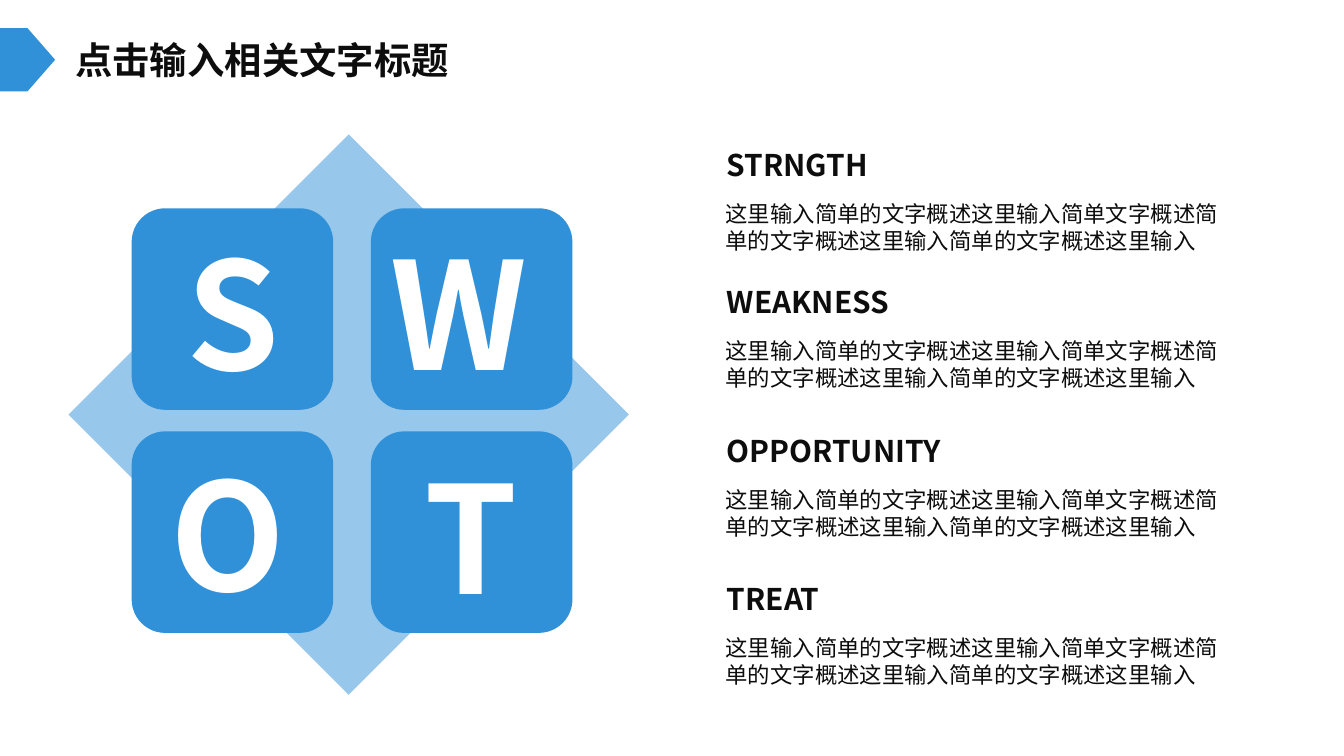
from pptx import Presentation
from pptx.dml.color import RGBColor
from pptx.enum import shapes, text
from pptx.oxml import xmlchemy
from pptx.oxml.ns import qn
from pptx.util import Inches, Pt

THEME = {
    "font": "Noto Sans CJK SC",
    "blue": "3090D8", "ink": "0D0D0D", "white": "FFFFFF",
    "title": 20, "letter": 80, "heading": 16, "body": 12,
}

TITLE = "点击输入相关文字标题"
SUMMARY = "这里输入简单的文字概述这里输入简单文字概述简单的文字概述这里输入简单的文字概述这里输入"
# heading and its top edge
SECTIONS = [("STRNGTH", 1.04), ("WEAKNESS", 2.06), ("OPPORTUNITY", 3.17), ("TREAT", 4.27)]
# letter, width of its box, drop below the top of its tile
LETTERS = [("S", 0.88, 0.05), ("W", 1.41, 0.05), ("O", 1.12, 0.03), ("T", 0.9, 0.05)]

TILE = 1.5
TILE_LEFTS = (0.98, 2.76)
TILE_TOPS = (1.55, 3.21)


def add_filled(page, kind, left, top, width, height, opacity=None):
    shape = page.shapes.add_shape(
        kind, Inches(left), Inches(top), Inches(width), Inches(height))
    shape.shadow.inherit = False
    shape.line.fill.background()
    shape.fill.solid()
    shape.fill.fore_color.rgb = RGBColor.from_string(THEME["blue"])
    if opacity is not None:
        color = shape._element.spPr.find(".//" + qn("a:srgbClr"))
        alpha = xmlchemy.OxmlElement("a:alpha")
        alpha.set("val", str(opacity * 1000))
        color.append(alpha)


def write(box, words, size, color="ink", bold=True, wrap=True):
    frame = box.text_frame
    frame.word_wrap = wrap
    frame.auto_size = text.MSO_AUTO_SIZE.SHAPE_TO_FIT_TEXT
    frame.vertical_anchor = text.MSO_ANCHOR.TOP
    para = frame.paragraphs[0]
    para.alignment = text.PP_ALIGN.LEFT
    span = para.add_run()
    span.text = words
    span.font.size = Pt(THEME[size])
    span.font.bold = bold
    span.font.name = THEME["font"]
    span.font.color.rgb = RGBColor.from_string(THEME[color])
    east_asian = xmlchemy.OxmlElement("a:ea")
    east_asian.set("typeface", THEME["font"])
    span.font._element.find(qn("a:latin")).addnext(east_asian)


def add_text(page, left, top, width, height, *args, **options):
    box = page.shapes.add_textbox(
        Inches(left), Inches(top), Inches(width), Inches(height))
    write(box, *args, **options)


def add_title(page):
    title = page.shapes.title
    title.left, title.top = Inches(0.46), Inches(0.23)
    title.width, title.height = Inches(3.01), Inches(0.44)
    write(title, TITLE, "title", wrap=False)


def add_matrix(page):
    kinds = shapes.MSO_SHAPE
    add_filled(page, kinds.DIAMOND, 0.51, 1, 4.17, 4.17, opacity=50)
    corners = [(left, top) for top in TILE_TOPS for left in TILE_LEFTS]
    for left, top in corners:
        add_filled(page, kinds.ROUNDED_RECTANGLE, left, top, TILE, TILE)
    for (left, top), (letter, width, drop) in zip(corners, LETTERS):
        add_text(page, left + (TILE - width) / 2, top + drop, width, 1.45,
                 letter, "letter", color="white", wrap=False)


def add_sections(page):
    for heading, top in SECTIONS:
        add_text(page, 5.3, top + 0.4, 3.88, 0.5, SUMMARY, "body", bold=False)
        add_text(page, 5.31, top, 2.21, 0.37, heading, "heading")


def main():
    deck = Presentation()
    deck.slide_width = Inches(10)
    deck.slide_height = deck.slide_width * 9 // 16
    page = deck.slides.add_slide(deck.slide_layouts[5])
    add_filled(page, shapes.MSO_SHAPE.PENTAGON, 0, 0.21, 0.41, 0.47)
    add_title(page)
    add_matrix(page)
    add_sections(page)
    deck.save("out.pptx")


if __name__ == "__main__":
    main()
